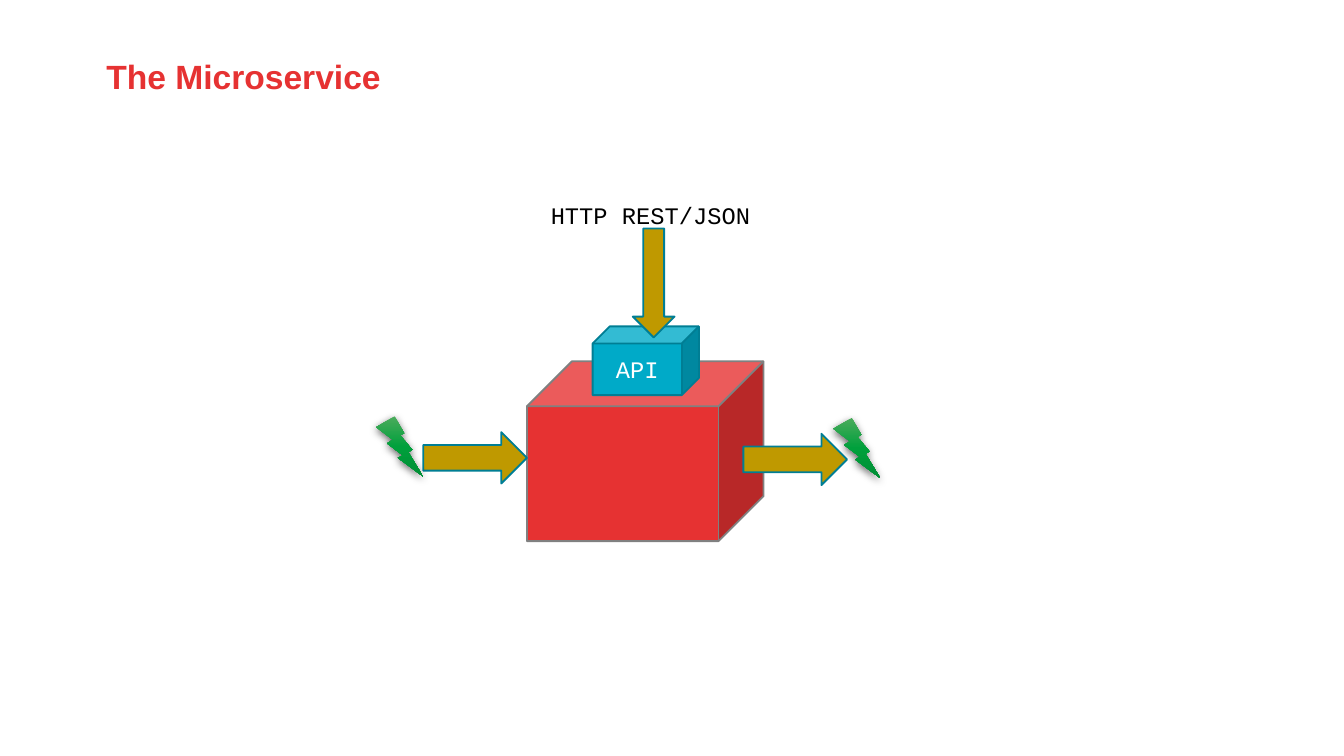
from copy import deepcopy
from dataclasses import dataclass

from lxml.etree import SubElement
from pptx import Presentation
from pptx.dml.color import RGBColor
from pptx.enum.shapes import MSO_SHAPE as Preset
from pptx.enum.text import MSO_ANCHOR as Anchor, MSO_AUTO_SIZE as AutoSize, PP_ALIGN as Align
from pptx.oxml.ns import qn
from pptx.util import Cm, Pt

COLORS = {
    "red": "E63232",
    "gray": "808080",
    "cyan": "00AAC8",
    "teal": "007E94",
    "gold": "BF9900",
    "white": "FFFFFF",
    "black": "000000",
    "bolt_top": "4BAB5C",
    "bolt_middle": "00A03C",
    "bolt_bottom": "008E35",
}
BOLT_STOPS = ((0, "bolt_top"), (0.5, "bolt_middle"), (1, "bolt_bottom"))


@dataclass
class Box:
    left: float
    top: float
    width: float
    height: float

    def lengths(self) -> tuple:
        return Cm(self.left), Cm(self.top), Cm(self.width), Cm(self.height)


@dataclass
class Part:
    preset: Preset
    box: Box
    fill: str
    line: str
    label: str = ""


def color(name: str) -> RGBColor:
    return RGBColor.from_string(COLORS[name])


def write(frame, text: str, font: str, size: float, ink: str, align: Align, bold: bool = False) -> None:
    frame.text = text
    para = frame.paragraphs[0]
    para.alignment = align
    span = para.runs[0]
    span.font.name = font
    span.font.size = Pt(size)
    span.font.bold = bold
    span.font.color.rgb = color(ink)


def draw_title(page, text: str, box: Box) -> None:
    title = page.shapes.title
    title.left, title.top, title.width, title.height = box.lengths()
    frame = title.text_frame
    frame.margin_left = frame.margin_right = frame.margin_top = frame.margin_bottom = 0
    frame.vertical_anchor = Anchor.MIDDLE
    frame.auto_size = AutoSize.NONE
    write(frame, text, "Arial", 18, "red", Align.LEFT, bold=True)
    frame.paragraphs[0].line_spacing = 0.85


def draw_caption(page, text: str, box: Box) -> None:
    frame = page.shapes.add_textbox(*box.lengths()).text_frame
    frame.word_wrap = False
    frame.auto_size = AutoSize.SHAPE_TO_FIT_TEXT
    write(frame, text, "Courier New", 12.7, "black", Align.LEFT)


def draw_part(page, part: Part) -> None:
    shape = page.shapes.add_shape(part.preset, *part.box.lengths())
    shape.shadow.inherit = False
    shape.fill.solid()
    shape.fill.fore_color.rgb = color(part.fill)
    shape.line.color.rgb = color(part.line)
    shape.line.width = Pt(1)
    if part.label:
        write(shape.text_frame, part.label, "Courier New", 12.7, "white", Align.CENTER)


def draw_bolt(page, left: float, top: float) -> None:
    bolt = page.shapes.add_shape(Preset.LIGHTNING_BOLT, *Box(left, top, 0.89, 1.14).lengths())
    bolt.line.fill.background()
    bolt.fill.gradient()
    bolt.fill.gradient_angle = 270
    properties = bolt._element.spPr
    stop_list = properties.find(qn("a:gradFill")).find(qn("a:gsLst"))
    stop_list.insert(1, deepcopy(stop_list[0]))
    for stop, (position, name) in zip(bolt.fill.gradient_stops, BOLT_STOPS):
        stop.position = position
        stop.color.rgb = color(name)

    bolt.shadow.inherit = False
    shadow = SubElement(properties.find(qn("a:effectLst")), qn("a:outerShdw"),
                        blurRad=str(Pt(4.5)), dist=str(Pt(1.5)), dir="5400000", rotWithShape="0")
    tint = SubElement(shadow, qn("a:srgbClr"), val=COLORS["black"])
    SubElement(tint, qn("a:alpha"), val="63000")


def draw_event_arrow(page, left: float, top: float) -> None:
    draw_part(page, Part(Preset.RIGHT_ARROW, Box(left, top, 1.96, 0.97), "gold", "teal"))


def main() -> None:
    deck = Presentation()
    deck.slide_width, deck.slide_height = Cm(25.4), Cm(14.29)
    page = deck.slides.add_slide(deck.slide_layouts[5])

    draw_title(page, "The Microservice", Box(2.01, 0.79, 18.39, 1.4))
    for part in (
        Part(Preset.CUBE, Box(9.96, 6.83, 4.47, 3.4), "red", "gray"),
        Part(Preset.CUBE, Box(11.2, 6.17, 2.01, 1.3), "cyan", "teal", "API"),
        Part(Preset.DOWN_ARROW, Box(11.96, 4.32, 0.79, 2.06), "gold", "teal"),
    ):
        draw_part(page, part)
    draw_caption(page, "HTTP REST/JSON", Box(10.16, 3.68, 4.34, 0.79))

    for arrow_left, bolt_left, top in ((14.05, 15.75, 7.9), (8, 7.11, 7.87)):
        draw_event_arrow(page, arrow_left, top + 0.3)
        draw_bolt(page, bolt_left, top)

    deck.save("out.pptx")


if __name__ == "__main__":
    main()
